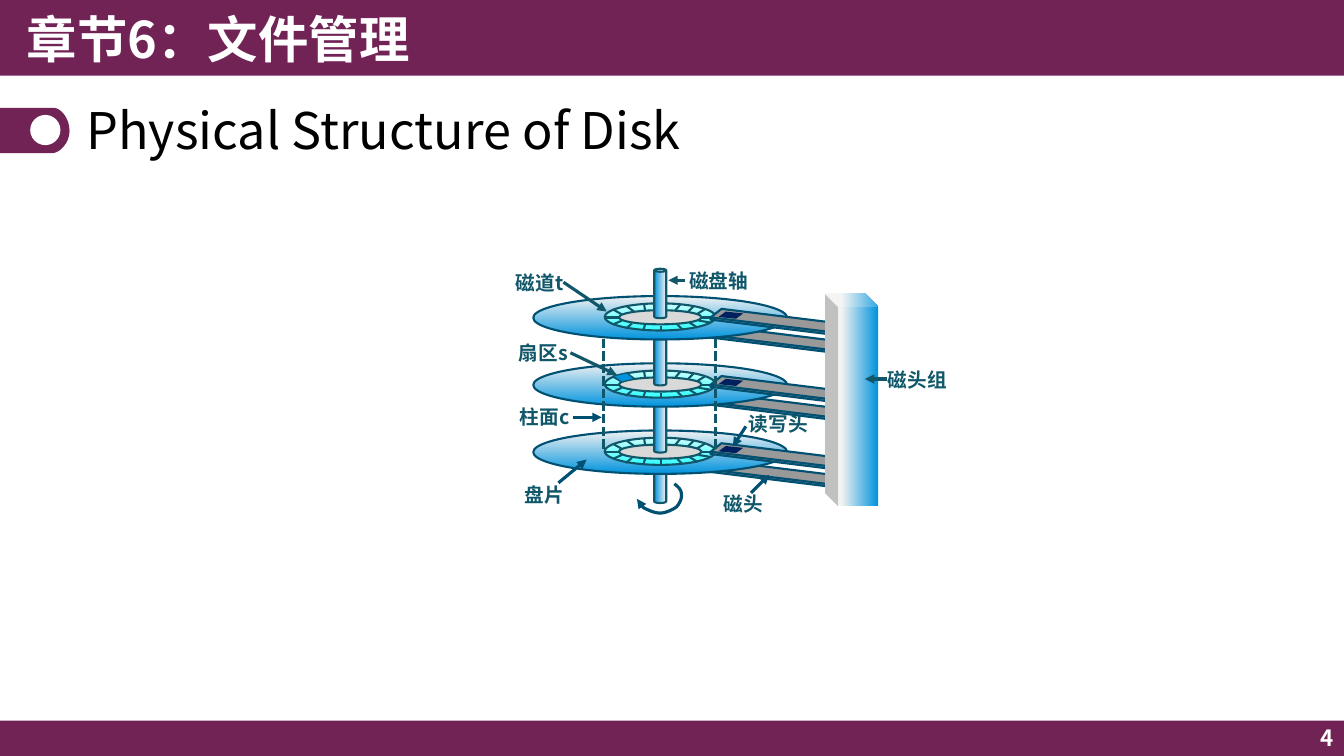
from lxml import etree
from pptx import Presentation, util as u
from pptx.dml import color
from pptx.enum import dml, shapes, text as t
from pptx.oxml import ns

Pt = u.Pt
KIND = shapes.MSO_SHAPE


class Theme:
    font = "Noto Sans CJK SC"
    plum, white, black = "712355", "FFFFFF", "000000"
    teal, navy, sea = "11576A", "002060", "005072"
    grey, hub, blue = "808080", "D9D9D9", "0093DD"
    # gradients: first colour, last colour, angle, first stop
    platter = ("F2F2F2", blue, 270, 0)
    ring = ("CCFFFF", "33FFFF", 270, 0)
    spindle = ("F2F2F2", blue, 180, 0)
    pillar = ("F2F2F2", blue, 180, 0.32)
    heading, label, number = 36, 14, 16
    outline, pointer = 1.5, 2.25


deck = Presentation()
deck.slide_width, deck.slide_height = Pt(960), Pt(540)
slide = deck.slides.add_slide(deck.slide_layouts[6])
drawing = slide.shapes


def text(words, box, size=Theme.label, colour=Theme.teal, bold=True, wrap=True,
         anchor=t.MSO_ANCHOR.MIDDLE, align=t.PP_ALIGN.LEFT, spacing=1.0):
    frame = drawing.add_textbox(*map(Pt, box)).text_frame
    frame.word_wrap, frame.vertical_anchor = wrap, anchor
    paragraph = frame.paragraphs[0]
    paragraph.alignment, paragraph.line_spacing = align, spacing
    run = paragraph.add_run()
    run.text = words
    run.font.size, run.font.bold = Pt(size), bold
    run.font.color.rgb = color.RGBColor.from_string(colour)
    run.font.name = Theme.font
    etree.SubElement(run.font._element, ns.qn("a:ea"), typeface=Theme.font)


def paint(part, fill=None, line=None, weight=Theme.outline, dash=None, arrow=False):
    """Set fill and line of a shape or connector and remove its shadow."""
    if isinstance(fill, tuple):
        first, last, angle, start = fill
        part.fill.gradient()
        part.fill.gradient_angle = angle
        stops = part.fill.gradient_stops
        for stop, tint, place in zip(stops, (first, last), (start, 1)):
            stop.color.rgb = color.RGBColor.from_string(tint)
            stop.position = place
    elif fill:
        part.fill.solid()
        part.fill.fore_color.rgb = color.RGBColor.from_string(fill)
    elif hasattr(part, "fill"):
        part.fill.background()
    if line:
        part.line.color.rgb = color.RGBColor.from_string(line)
        part.line.width = Pt(weight)
        if dash:
            part.line.dash_style = dash
    else:
        part.line.fill.background()
    properties = part.element.spPr
    if arrow:
        etree.SubElement(properties.find(ns.qn("a:ln")), ns.qn("a:tailEnd"), type="triangle")
    etree.SubElement(properties, ns.qn("a:effectLst"))


# Page frame
for band in ((0, 514.8, 960, 25.2), (0, 0, 960, 54)):
    paint(drawing.add_shape(KIND.RECTANGLE, *map(Pt, band)), Theme.plum)

# Curved outlines: start, Bézier curves, closing corners, style
outlines = [
    ((38.2, 77),
     [((43.2, 77), (49.7, 84.2), (49.7, 93.6)),
      ((49.7, 102.2), (42.5, 109.4), (37.4, 109.4))],
     [(0, 109.4), (0, 77)], dict(fill=Theme.plum)),
    ((481.7, 345.6),
     [((484.6, 347.8), (486.7, 349.9), (486.7, 352.8)),
      ((487.4, 355.7), (485.3, 360), (483.1, 362.2)),
      ((480.2, 364.3), (475.2, 366.5), (471.6, 366.5)),
      ((467.3, 366.5), (463, 364.3), (460.1, 362.9)),
      ((457.2, 360.7), (456.5, 358.6), (455, 356.4))],
     [], dict(line=Theme.sea, weight=Theme.pointer, arrow=True)),
]
STEPS = 8
for start, curves, corners, style in outlines:
    points, here = [], start
    for bend_out, bend_in, end in curves:
        for step in range(1, STEPS + 1):
            s = step / STEPS
            points.append([(1 - s) ** 3 * a + 3 * (1 - s) ** 2 * s * b
                           + 3 * (1 - s) * s ** 2 * c + s ** 3 * d
                           for a, b, c, d in zip(here, bend_out, bend_in, end)])
        here = end
    builder = drawing.build_freeform(*map(Pt, start))
    builder.add_line_segments([(Pt(x), Pt(y)) for x, y in points + corners],
                              close=bool(corners))
    paint(builder.convert_to_shape(), **style)

paint(drawing.add_shape(KIND.OVAL, Pt(21.6), Pt(82.1), Pt(21.6), Pt(21.6)), Theme.white)
text("章节6：文件管理", (12.2, 0, 480, 55.4), Theme.heading, Theme.white)
text("4", (743.8, 514.1, 216, 25.9), Theme.number, Theme.white, align=t.PP_ALIGN.RIGHT)
text("Physical Structure of Disk", (54.7, 68.4, 850.3, 53.3), Theme.heading,
     Theme.black, bold=False, spacing=0.9)

# Disk stack, drawn from the lowest platter up; positions are those of the top platter
PITCH = 48
sector_borders = [
    (460.8, 221.8, 460, 216.7), (452.9, 222.5, 447.8, 218.9), (444.2, 224.6, 437.8, 221),
    (442.1, 226.8, 432, 226.8), (511.2, 226.8, 500.4, 226.8), (498.2, 234, 492.5, 230.4),
    (487.4, 235.4, 483.8, 231.8), (472.3, 232.6, 472.3, 236.2), (507.6, 230.4, 499, 229),
    (460.8, 231.8, 459.4, 236.2), (451.4, 231.1, 447.1, 234.7), (444.2, 229, 437.8, 231.8),
    (481.7, 222.5, 486, 217.4), (491, 223.2, 495.4, 218.9), (497.5, 224.6, 503.3, 221),
]
arm = dict(kind=KIND.CUBE, x=507.6, w=94.3, h=8.6, fill=Theme.grey, line=Theme.sea,
           turn=7, adjust=0.81)
spindle = dict(kind=KIND.CAN, x=467.3, w=8.6, h=35.3, fill=Theme.spindle, line=Theme.teal)
disk = [
    dict(arm, y=238.3),
    dict(kind=KIND.OVAL, x=380.9, y=211.5, w=181.4, h=31, fill=Theme.platter, line=Theme.sea),
    dict(kind=KIND.OVAL, x=432, y=216.7, w=79.2, h=19.4, fill=Theme.ring, line=Theme.teal),
    "sectors",
    dict(kind=KIND.OVAL, x=442.1, y=221.6, w=59, h=10.1, fill=Theme.hub, line=Theme.teal),
    dict(spindle, y=192),
]
read_arm = [
    dict(arm, y=225.5),
    dict(kind=KIND.PARALLELOGRAM, x=513.4, y=223, w=17.3, h=4.3, fill=Theme.navy,
         turn=6, adjust=1.094),
]
stack = [(dict(spindle, y=324), 0)]
for layer in (disk, read_arm):
    stack += [(piece, level * PITCH) for level in (2, 1, 0) for piece in layer]

for piece, drop in stack:
    if piece == "sectors":
        for x1, y1, x2, y2 in sector_borders:
            border = drawing.add_connector(shapes.MSO_CONNECTOR.STRAIGHT, Pt(x1),
                                           Pt(y1 + drop), Pt(x2), Pt(y2 + drop))
            paint(border, line=Theme.teal)
        continue
    solid = drawing.add_shape(piece["kind"], Pt(piece["x"]), Pt(piece["y"] + drop),
                              Pt(piece["w"]), Pt(piece["h"]))
    solid.rotation = piece.get("turn", 0)
    if "adjust" in piece:
        solid.adjustments[0] = piece["adjust"]
    paint(solid, piece["fill"], piece.get("line"))

builder = drawing.build_freeform(Pt(437.8), Pt(268.6))
builder.add_line_segments([(Pt(x), Pt(y)) for x, y in
                           ((444.2, 272.9), (452.9, 270.7), (447.8, 266.4))])
paint(builder.convert_to_shape(), Theme.blue, Theme.teal, 0.75)

pillar = drawing.add_shape(KIND.CUBE, Pt(589), Pt(209.5), Pt(38.2), Pt(151.9))
pillar.element.spPr.find(ns.qn("a:xfrm")).set("flipH", "1")
paint(pillar, Theme.pillar)

# Cylinder edges
for x in (431.3, 511.2):
    edge = drawing.add_connector(shapes.MSO_CONNECTOR.STRAIGHT, Pt(x), Pt(242), Pt(x), Pt(321.8))
    paint(edge, line=Theme.teal, weight=Theme.pointer, dash=dml.MSO_LINE.SQUARE_DOT)

# Labels: words, left, top, width, wrap, pointer ends, pointer colour
labels = [
    ("磁道t", 361.4, 190.1, 49, True, (402.5, 201.6, 433.4, 222.5), Theme.teal),
    ("磁盘轴", 485.3, 188.6, 56.9, False, (489.6, 200.2, 477.4, 200.2), Theme.teal),
    ("磁头组", 627.1, 259.2, 56.9, False, (633.6, 270.7, 617.8, 270.7), Theme.teal),
    ("扇区s", 363.6, 239.8, 49.7, True, (407.5, 252, 440.6, 267.8), Theme.teal),
    ("柱面c", 364.3, 285.8, 50.4, True, (409, 298.1, 429.8, 298.1), Theme.sea),
    ("盘片", 367.9, 341.3, 42.5, False, (398.9, 344.9, 419, 328.3), Theme.sea),
    ("磁头", 509.8, 347.8, 42.5, False, (536.4, 352.1, 549.4, 339.1), Theme.sea),
    ("读写头", 527.8, 290.9, 56.9, False, (532.8, 304.6, 523.4, 319), Theme.sea),
]
for words, left, top, width, wrap, ends, colour in labels:
    text(words, (left, top, width, 24.5), wrap=wrap, anchor=t.MSO_ANCHOR.TOP)
    pointer = drawing.add_connector(shapes.MSO_CONNECTOR.STRAIGHT, *map(Pt, ends))
    paint(pointer, line=colour, weight=Theme.pointer, arrow=True)

deck.save("out.pptx")
